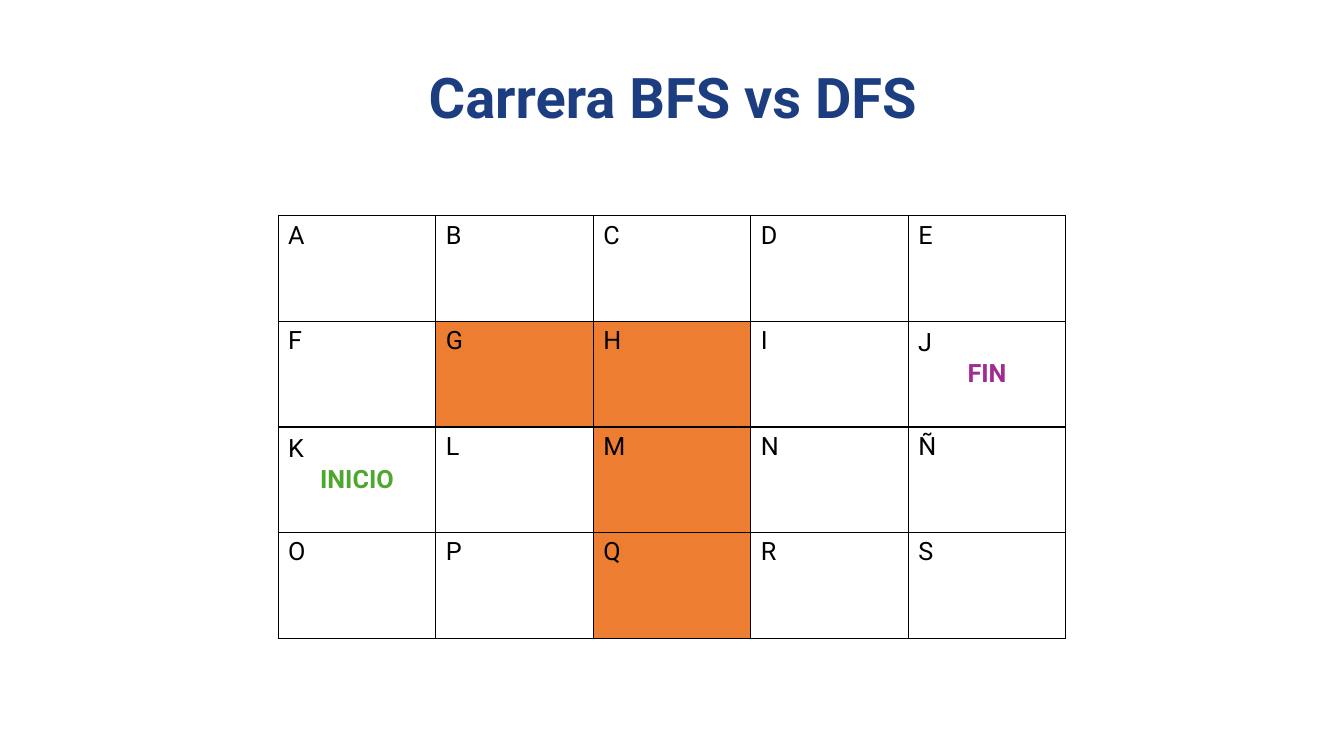
from lxml import etree
from pptx import Presentation
from pptx import util as u
from pptx.dml.color import RGBColor
from pptx.enum import text
from pptx.oxml import ns

COLORS = {
    "title": "1C3D80",
    "ink": "000000",
    "wall": "ED7D31",
    "start": "4EA72E",
    "finish": "A02B93",
}
MAZE = ["ABCDE", "FGHIJ", "KLMNÑ", "OPQRS"]
WALLS = "GHMQ"
GOALS = {"K": ("INICIO", "start"), "J": ("FIN", "finish")}


def write(frame, words, size=18, color="ink", bold=False, align=text.PP_ALIGN.LEFT,
          anchor=text.MSO_ANCHOR.TOP, spacing=1.0, font="Roboto"):
    frame.vertical_anchor = anchor
    para = frame.paragraphs[0]
    para.alignment = align
    para.line_spacing = spacing
    span = para.add_run()
    span.text = words
    span.font.name = font
    span.font.size = u.Pt(size)
    span.font.bold = bold
    span.font.color.rgb = RGBColor.from_string(COLORS[color])


class MazeSlide:
    centered = {"align": text.PP_ALIGN.CENTER, "anchor": text.MSO_ANCHOR.MIDDLE, "bold": True}

    def __init__(self, deck):
        self.page = deck.slides.add_slide(deck.slide_layouts[5])

    def title(self, words, left, top, width, height):
        box = self.page.shapes.title
        box.left, box.top, box.width, box.height = map(u.Cm, (left, top, width, height))
        box.text_frame.word_wrap = True
        write(box.text_frame, words, size=40, color="title", spacing=0.9, **self.centered)

    def label(self, words, left, top, width, height):
        box = self.page.shapes.add_textbox(*map(u.Cm, (left, top, width, height)))
        box.text_frame.word_wrap = True
        box.text_frame.auto_size = text.MSO_AUTO_SIZE.SHAPE_TO_FIT_TEXT
        write(box.text_frame, words)

    def border(self, cell, width=1):
        properties = cell._tc.get_or_add_tcPr()
        for index, side in enumerate(("lnL", "lnR", "lnT", "lnB")):
            line = etree.Element(ns.qn(f"a:{side}"), w=str(u.Pt(width)))
            fill = etree.SubElement(line, ns.qn("a:solidFill"))
            etree.SubElement(fill, ns.qn("a:srgbClr"), val=COLORS["ink"])
            properties.insert(index, line)

    def maze(self, left, top, cell_width, cell_height):
        rows, columns = len(MAZE), len(MAZE[0])
        size = (left, top, columns * cell_width, rows * cell_height)
        table = self.page.shapes.add_table(rows, columns, *map(u.Cm, size)).table
        table.first_row = table.horz_banding = False
        for column in table.columns:
            column.width = u.Cm(cell_width)
        for row, letters in enumerate(MAZE):
            table.rows[row].height = u.Cm(cell_height)
            for column, letter in enumerate(letters):
                cell = table.cell(row, column)
                if letter in WALLS:
                    cell.fill.solid()
                    cell.fill.fore_color.rgb = RGBColor.from_string(COLORS["wall"])
                else:
                    cell.fill.background()
                self.border(cell)
                if letter in GOALS:
                    words, color = GOALS[letter]
                    cell.vertical_anchor = text.MSO_ANCHOR.MIDDLE
                    write(cell.text_frame, words, color=color, **self.centered)
                    self.label(letter, left + column * cell_width,
                               top + row * cell_height, 1, 1.02)
                else:
                    write(cell.text_frame, letter)


def main():
    deck = Presentation()
    deck.slide_width, deck.slide_height = u.Cm(33.87), u.Cm(19.05)
    slide = MazeSlide(deck)
    slide.title("Carrera BFS vs DFS", 2.33, 0.33, 29.24, 4.42)
    slide.maze(7.01, 5.44, 3.97, 2.66)
    deck.save("out.pptx")


if __name__ == "__main__":
    main()
